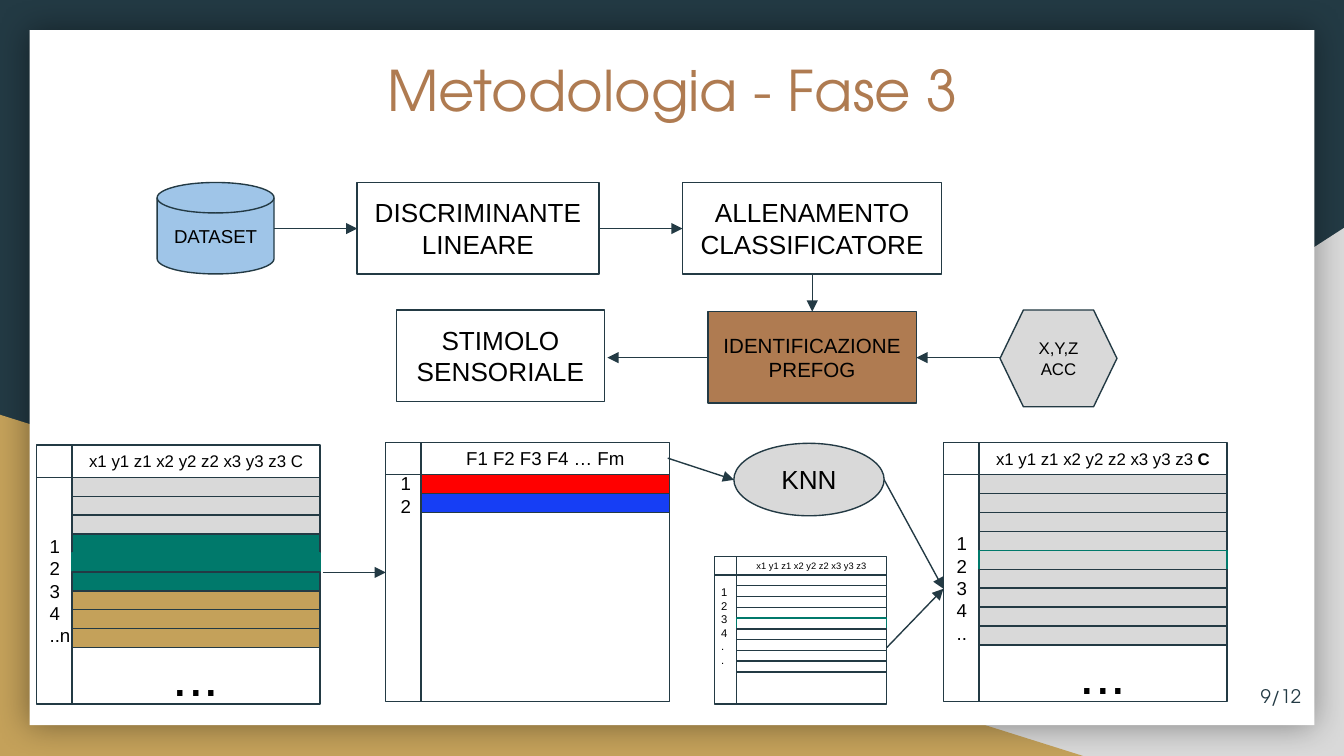
from lxml import etree
from pptx import Presentation
from pptx import util as u
from pptx.dml import color
from pptx.enum import shapes, text
from pptx.oxml import ns

FORM = shapes.MSO_SHAPE
CENTER = text.PP_ALIGN.CENTER
MIDDLE = text.MSO_ANCHOR.MIDDLE
INK, GREEN, OCHRE, GREY = "233A44", "00796B", "C4A15A", "D9D9D9"
BROWN, WHITE = "AF7B51", "FFFFFF"
DISPLAY = "TeX Gyre Adventor"


def rgb(value):
    return color.RGBColor.from_string(value)


def lengths(values):
    return [u.Cm(value) for value in values]


def within(box, left, top, *size):
    return (box[0] + left, box[1] + top, *size)


def write(shape, lines, size=10, font="Arial", ink="000000", align=CENTER,
          anchor=MIDDLE, bold_end=""):
    frame = shape.text_frame
    frame.word_wrap = True
    frame.vertical_anchor = anchor
    frame.margin_left = frame.margin_right = u.Cm(0.25)
    frame.margin_top = frame.margin_bottom = u.Cm(0.25)
    for index, line in enumerate(lines):
        paragraph = frame.add_paragraph() if index else frame.paragraphs[0]
        paragraph.alignment = align
        for words, bold in ((line, False), (bold_end, True)):
            if words:
                run = paragraph.add_run()
                run.text = words
                run.font.size = u.Pt(size)
                run.font.name = font
                run.font.bold = bold
                run.font.color.rgb = rgb(ink)


def label(slide, box, lines, **style):
    write(slide.shapes.add_textbox(*lengths(box)), lines, **style)


def block(slide, form, box, fill=None, line=INK):
    shape = slide.shapes.add_shape(form, *lengths(box))
    shape.shadow.inherit = False
    if fill:
        shape.fill.solid()
        shape.fill.fore_color.rgb = rgb(fill)
    else:
        shape.fill.background()
    if line:
        shape.line.color.rgb = rgb(line)
        shape.line.width = u.Pt(0.75)
    else:
        shape.line.fill.background()
    return shape


def arrow(slide, box, start, end):
    ends = within(box, *start) + within(box, *end)
    link = slide.shapes.add_connector(shapes.MSO_CONNECTOR.STRAIGHT, *lengths(ends))
    link.line.color.rgb = rgb(INK)
    link.line.width = u.Pt(0.75)
    properties = link.element.spPr
    outline = properties.find(ns.qn("a:ln"))
    etree.SubElement(outline, ns.qn("a:tailEnd"), type="triangle")
    etree.SubElement(properties, ns.qn("a:effectLst"))


def backdrop(slide, box):
    _, _, width, height = box
    slide.background.fill.solid()
    slide.background.fill.fore_color.rgb = rgb(INK)
    right_corner = block(slide, FORM.RIGHT_TRIANGLE,
                         within(box, width - 15.44, height - 9.98, 15.44, 9.98), GREY, None)
    right_corner.element.spPr.find(ns.qn("a:xfrm")).set("flipH", "1")
    block(slide, FORM.RIGHT_TRIANGLE,
          within(box, 0, height - 6.45, 20.47, 6.45), OCHRE, None)
    paper = block(slide, FORM.RECTANGLE,
                  within(box, 0.56, 0.57, width - 1.12, height - 1.15), WHITE, None)
    effects = paper.element.spPr.find(ns.qn("a:effectLst"))
    shadow = etree.SubElement(effects, ns.qn("a:outerShdw"), blurRad=str(u.Pt(18)),
                              dist="0", dir="0", algn="ctr", rotWithShape="0")
    tint = etree.SubElement(shadow, ns.qn("a:srgbClr"), val="000000")
    etree.SubElement(tint, ns.qn("a:alpha"), val="40000")


def process_flow(slide, box):
    process = FORM.FLOWCHART_PROCESS
    steps = [
        (process, (3.78, 0, 4.57, 1.73), None, ["DISCRIMINANTE LINEARE"], 14),
        (process, (9.93, 0, 4.9, 1.73), None, ["ALLENAMENTO CLASSIFICATORE"], 14),
        (FORM.FLOWCHART_PREPARATION, (15.93, 2.41, 2.21, 1.83), GREY, ["X,Y,Z", "ACC"], 9),
        (process, (10.41, 2.44, 3.94, 1.73), BROWN, ["IDENTIFICAZIONE PREFOG"], 11),
        (process, (4.52, 2.41, 3.94, 1.73), None, ["STIMOLO SENSORIALE"], 14),
        (FORM.FLOWCHART_MAGNETIC_DISK, (0, 0, 2.21, 1.73), "9FC5E8", ["DATASET"], 10),
    ]
    for form, place, fill, lines, size in steps:
        write(block(slide, form, within(box, *place), fill), lines, size=size)
    for start, end in [
        ((2.21, 0.87), (3.78, 0.87)),
        ((8.35, 0.87), (9.93, 0.87)),
        ((12.38, 1.73), (12.38, 2.44)),
        ((15.93, 3.31), (14.35, 3.31)),
        ((10.41, 3.31), (8.51, 3.31)),
    ]:
        arrow(slide, box, start, end)


def data_grid(slide, box, header, header_size, fills, bold_end="", dots=False):
    _, _, width, height = box
    margin, head = width / 8, height / 8
    pitch = height * 0.073
    block(slide, FORM.FLOWCHART_INTERNAL_STORAGE, box, WHITE)
    label(slide, within(box, margin, 0, width - margin, head), [header],
          size=header_size, bold_end=bold_end)
    for index, fill in enumerate(fills):
        block(slide, FORM.RECTANGLE,
              within(box, margin, head + index * pitch, width - margin, pitch),
              fill, GREEN if index == 4 else INK)
    if dots:
        label(slide, within(box, margin, 3.96, width - margin, 0.76), ["..."], size=30)


def classification(slide, box):
    left = text.PP_ALIGN.LEFT
    numbers = ["1", "2", "3", "4"]
    columns = "x1 y1 z1 x2 y2 z2 x3 y3 z3"
    training = within(box, 0, 0.05, 5.36, 4.9)
    features = within(box, 6.6, 0, 5.36, 4.9)
    samples = within(box, 12.82, 2.16, 3.25, 2.79)
    predicted = within(box, 17.14, 0, 5.36, 4.9)

    data_grid(slide, training, columns + " C", 9,
              [GREY] * 3 + [GREEN] * 3 + [OCHRE] * 3, dots=True)
    data_grid(slide, features, "F1 F2 F3 F4 … Fm", 10, ["FF0000", "163EF5"])
    data_grid(slide, samples, columns, 5, [WHITE] * 9)
    data_grid(slide, predicted, columns + " ", 9, [GREY] * 9, bold_end="C", dots=True)

    label(slide, within(training, 0, 0.61, 0.89, 4.29), numbers + ["..n"], align=left)
    label(slide, within(features, 0.03, 0.61, 0.63, 0.76), numbers[:2], align=left)
    label(slide, within(samples, -0.13, 0.3, 0.53, 2.46), numbers + [".."],
          size=6, anchor=text.MSO_ANCHOR.TOP)
    label(slide, within(predicted, 0, 0.61, 0.89, 4.29), numbers + [".."], align=left)

    knn = block(slide, FORM.OVAL, within(box, 13.18, 0.02, 2.84, 1.37), GREY)
    write(knn, ["KNN"], size=14)
    for start, end in [
        ((5.41, 2.46), (6.6, 2.46)),
        ((11.93, 0.3), (13.18, 0.71)),
        ((16.07, 3.88), (17.14, 2.77)),
        ((16.02, 0.71), (17.14, 2.77)),
    ]:
        arrow(slide, box, start, end)


def main():
    deck = Presentation()
    deck.slide_width, deck.slide_height = lengths((25.4, 14.29))
    slide = deck.slides.add_slide(deck.slide_layouts[6])
    backdrop(slide, (0, 0, 25.4, 14.29))
    label(slide, (2.29, 0.81, 20.85, 2.64), ["Metodologia - Fase 3"], size=30,
          font=DISPLAY, ink=BROWN, anchor=text.MSO_ANCHOR.TOP)
    process_flow(slide, (2.97, 3.45, 18.14, 4.24))
    classification(slide, (0.69, 8.36, 22.5, 4.95))
    label(slide, (23.32, 12.62, 1.52, 1.09), ["9/12"], font=DISPLAY, ink=INK,
          align=text.PP_ALIGN.RIGHT)
    deck.save("out.pptx")


if __name__ == "__main__":
    main()
